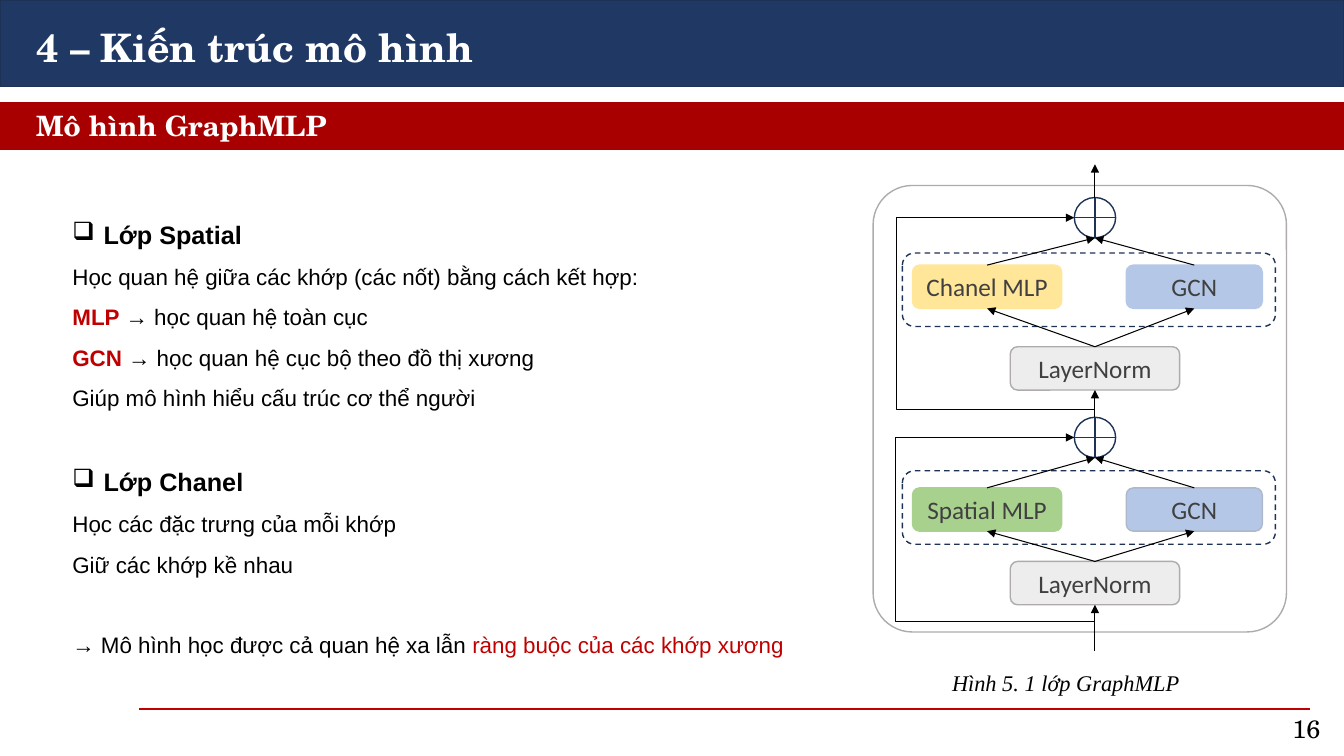
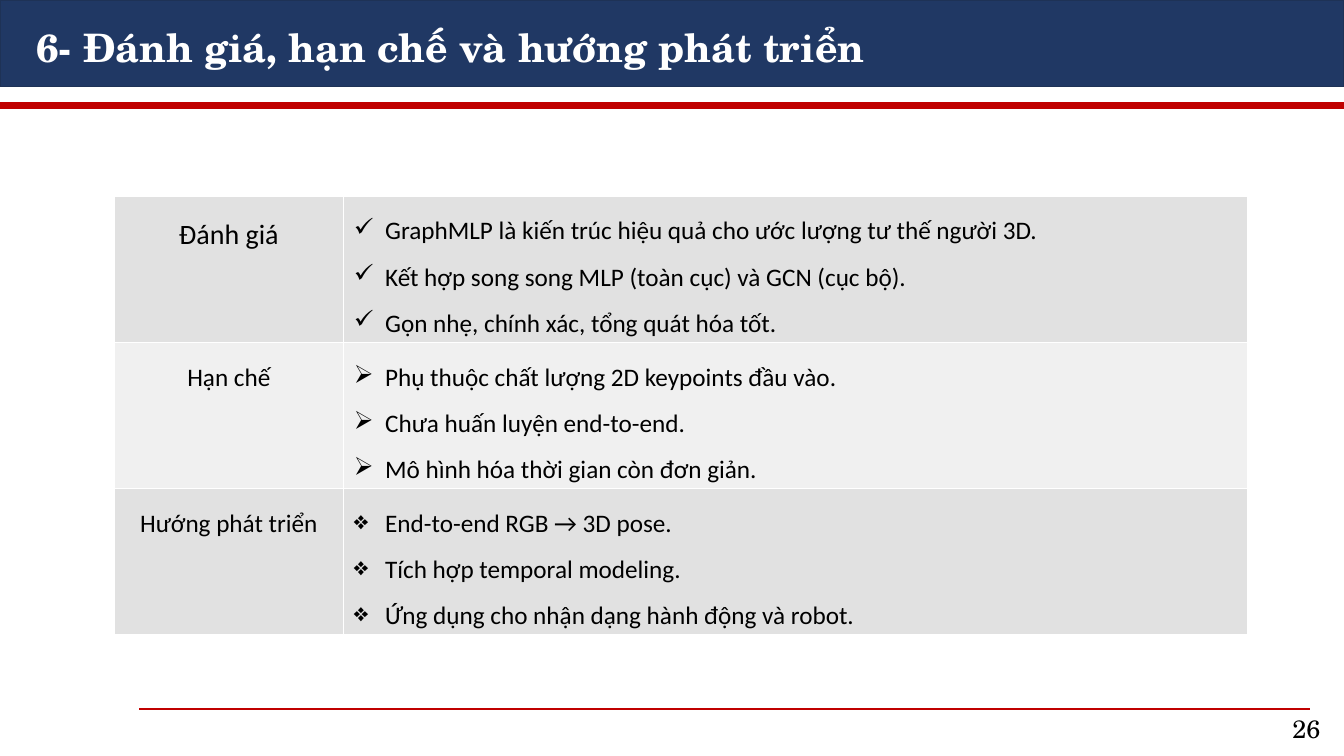
from lxml import etree
from pptx import Presentation
from pptx.dml.color import RGBColor
from pptx.enum.dml import MSO_LINE
from pptx.enum.shapes import MSO_CONNECTOR, MSO_SHAPE
from pptx.enum.text import MSO_ANCHOR, MSO_AUTO_SIZE, PP_ALIGN
from pptx.oxml.ns import qn
from pptx.util import Inches, Pt

RECTANGLE, ROUNDED, SUM = MSO_SHAPE.RECTANGLE, MSO_SHAPE.ROUNDED_RECTANGLE, MSO_SHAPE.FLOWCHART_OR
STRAIGHT, DASH = MSO_CONNECTOR.STRAIGHT, MSO_LINE.DASH
LEFT, CENTER = PP_ALIGN.LEFT, PP_ALIGN.CENTER
TOP, MIDDLE = MSO_ANCHOR.TOP, MSO_ANCHOR.MIDDLE
NO_FIT = MSO_AUTO_SIZE.NONE

COLORS = {
    "navy": "203864", "outline": "1E3256", "crimson": "A80000", "red": "C00000",
    "white": "FFFFFF", "black": "000000", "label": "404040", "border": "AFABAB",
    "norm": "EDEDED", "green": "A9D18E", "yellow": "FFE699", "blue": "B4C7E7",
    "blue_border": "ADB9CA", "row_dark": "E1E1E1", "row_light": "F0F0F0",
}
COLORS = {name: RGBColor.from_string(value) for name, value in COLORS.items()}

TITLE = {"name": "TeX Gyre Schola", "size": Pt(28), "bold": True, "color": "white"}
SUBTITLE = {**TITLE, "size": Pt(20)}
NUMBER = {"name": "TeX Gyre Schola", "size": Pt(18), "color": "black"}
BODY = {"name": "Arial", "size": Pt(16), "color": "black"}
HEADING = {**BODY, "size": Pt(18), "bold": True}
ACCENT = {**BODY, "color": "red"}
STRONG = {**ACCENT, "bold": True}
CAPTION = {"name": "Times New Roman", "size": Pt(16), "italic": True, "color": "black"}
LABEL = {"name": "Calibri", "size": Pt(18), "color": "label"}
CELL = {**LABEL, "color": "black"}
BIG_CELL = {**CELL, "size": Pt(20)}


def write(frame, paragraphs, align=LEFT, spacing=1.0, anchor=TOP):
    frame.word_wrap = True
    frame.vertical_anchor = anchor
    for index, (spans, bullet, before) in enumerate(paragraphs):
        para = frame.paragraphs[0] if index == 0 else frame.add_paragraph()
        settings = {"alignment": align, "line_spacing": spacing, "space_before": Pt(before)}
        for name, value in settings.items():
            setattr(para, name, value)
        if bullet:
            properties = para._p.get_or_add_pPr()
            properties.set("marL", str(Inches(0.31)))
            properties.set("indent", str(-Inches(0.31)))
            etree.SubElement(properties, qn("a:buChar"), char=bullet)
        for text, style in spans:
            span = para.add_run()
            span.text = text
            for name, value in style.items():
                if name == "color":
                    span.font.color.rgb = COLORS[value]
                else:
                    setattr(span.font, name, value)


def draw(page, kind, place, fill, line, label=None):
    box = page.shapes.add_shape(kind, *map(Inches, place))
    box.shadow.inherit = False
    if fill:
        box.fill.solid()
        box.fill.fore_color.rgb = COLORS[fill]
    else:
        box.fill.background()
    box.line.color.rgb = COLORS[line]
    box.line.width = Pt(1)
    if label:
        frame = box.text_frame
        frame.margin_left = frame.margin_right = 0
        write(frame, [([(label, LABEL)], None, 0)], CENTER, anchor=MIDDLE)
    return box


deck = Presentation()
deck.slide_width, deck.slide_height = Inches(13.33), Inches(7.5)

PAGES = [
    ("4 – Kiến trúc mô hình", "16", 0.46, "crimson"),
    ("6- Đánh giá, hạn chế và hướng phát triển", "26", 0.05, "red"),
]
pages = []
strokes = []
for heading, number, stripe_height, stripe_color in PAGES:
    page = deck.slides.add_slide(deck.slide_layouts[5])
    pages.append(page)
    title = page.shapes.title
    band = draw(page, RECTANGLE, (0, 0, 13.33, 0.86), "navy", "outline")
    title.element.addprevious(band.element)
    draw(page, RECTANGLE, (0, 1.02, 13.33, stripe_height), stripe_color, stripe_color)
    place = {"left": 0.26, "top": 0.18, "width": 10.72, "height": 0.57}
    for name, value in place.items():
        setattr(title, name, Inches(value))
    title.text_frame.auto_size = NO_FIT
    write(title.text_frame, [([(heading, TITLE)], None, 0)])
    rule = page.shapes.add_connector(STRAIGHT, Inches(1.38), Inches(7.03), Inches(12.99), Inches(7.03))
    strokes.append((rule, "red", 1.5, False))
    box = page.shapes.add_textbox(Inches(12.72), Inches(7.03), Inches(0.56), Inches(0.4))
    write(box.text_frame, [([(number, NUMBER)], None, 0)])

model_page, review_page = pages

LAYERS = [
    ([("Lớp Spatial", HEADING)], "❑", 0),
    ([("Học quan hệ giữa các khớp (các nốt) bằng cách kết hợp:", BODY)], None, 0),
    ([("MLP", STRONG), (" → học quan hệ toàn cục", BODY)], None, 0),
    ([("GCN", STRONG), (" → học quan hệ cục bộ theo đồ thị xương", BODY)], None, 0),
    ([("Giúp mô hình hiểu cấu trúc cơ thể người", BODY)], None, 0),
    ([("Lớp Chanel", HEADING)], "❑", 29),
    ([("Học các đặc trưng của mỗi khớp", BODY)], None, 0),
    ([("Giữ các khớp kề nhau", BODY)], None, 0),
    ([("→ Mô hình học được cả quan hệ xa lẫn ", BODY),
      ("ràng buộc của các khớp xương", ACCENT)], None, 29),
]
TEXTS = [
    ((0.26, 1.03, 10.72, 0.44), [([("Mô hình GraphMLP", SUBTITLE)], None, 0)], LEFT, 1.0),
    ((0.62, 1.98, 7.34, 4.6), LAYERS, LEFT, 1.5),
    ((7.83, 6.46, 5.48, 0.46), [([("Hình 5. 1 lớp GraphMLP", CAPTION)], None, 0)], CENTER, 1.5),
]
for place, paragraphs, align, spacing in TEXTS:
    box = model_page.shapes.add_textbox(*map(Inches, place))
    write(box.text_frame, paragraphs, align, spacing)

container = draw(model_page, ROUNDED, (8.66, 1.84, 4.1, 4.43), "white", "border")
container.adjustments[0] = 0.095

AXIS = 10.86
NODE_HEIGHT = 0.43
SUM_WIDTH, SUM_HEIGHT = 0.41, 0.4
STAGES = [
    {"mlp": "Spatial MLP", "fill": "green", "gcn_line": "blue_border", "norm": 5.57,
     "branch": 4.84, "frame": 4.67, "sum": 4.14, "input": 6.46, "skip": (8.88, 6.17)},
    {"mlp": "Chanel MLP", "fill": "yellow", "gcn_line": "blue", "norm": 3.44,
     "branch": 2.63, "frame": 2.51, "sum": 1.96, "input": 4.14, "skip": (8.89, 4.06)},
]
arrows = [((AXIS, 1.96), (AXIS, 1.63), None, None)]
for stage in STAGES:
    frame = draw(model_page, ROUNDED, (8.95, stage["frame"], 3.7, 0.73), None, "outline")
    frame.line.dash_style = DASH
    norm = draw(model_page, ROUNDED, (10.02, stage["norm"], 1.68, NODE_HEIGHT),
                "norm", "border", "LayerNorm")
    mlp = draw(model_page, ROUNDED, (9.05, stage["branch"], 1.48, NODE_HEIGHT),
               stage["fill"], stage["fill"], stage["mlp"])
    gcn = draw(model_page, ROUNDED, (11.17, stage["branch"], 1.35, NODE_HEIGHT),
               "blue", stage["gcn_line"], "GCN")
    sum_left = AXIS - SUM_WIDTH / 2
    draw(model_page, SUM, (sum_left, stage["sum"], SUM_WIDTH, SUM_HEIGHT), None, "outline")

    norm_top, sum_bottom = (AXIS, stage["norm"]), (AXIS, stage["sum"] + SUM_HEIGHT)
    arrows.append(((AXIS, stage["input"]), (AXIS, stage["norm"] + NODE_HEIGHT), None, (norm, 2)))
    for branch in (mlp, gcn):
        arrows.append((norm_top, norm_top, (norm, 0), (branch, 2)))
        arrows.append((sum_bottom, sum_bottom, (branch, 0), None))

    skip_left, skip_bottom = stage["skip"]
    sum_middle = stage["sum"] + SUM_HEIGHT / 2
    route = [(skip_left, skip_bottom), (skip_left, sum_middle), (sum_left, sum_middle)]
    builder = model_page.shapes.build_freeform(Inches(AXIS), Inches(skip_bottom))
    builder.add_line_segments([(Inches(x), Inches(y)) for x, y in route], close=False)
    skip = builder.convert_to_shape()
    skip.fill.background()
    strokes.append((skip, "black", 0.75, True))

for start, end, source, target in arrows:
    arrow = model_page.shapes.add_connector(STRAIGHT, *map(Inches, start + end))
    if source:
        arrow.begin_connect(*source)
    if target:
        arrow.end_connect(*target)
    strokes.append((arrow, "black", 0.75, True))

for stroke, color, width, has_head in strokes:
    stroke.line.color.rgb = COLORS[color]
    stroke.line.width = Pt(width)
    properties = stroke.element.spPr
    if has_head:
        etree.SubElement(properties.find(qn("a:ln")), qn("a:tailEnd"), type="triangle")
    etree.SubElement(properties, qn("a:effectLst"))

REVIEW = [
    ("Đánh giá", BIG_CELL, "row_dark", "✓", [
        "GraphMLP là kiến trúc hiệu quả cho ước lượng tư thế người 3D.",
        "Kết hợp song song MLP (toàn cục) và GCN (cục bộ).",
        "Gọn nhẹ, chính xác, tổng quát hóa tốt.",
    ]),
    ("Hạn chế", CELL, "row_light", "➢", [
        "Phụ thuộc chất lượng 2D keypoints đầu vào.",
        "Chưa huấn luyện end-to-end.",
        "Mô hình hóa thời gian còn đơn giản.",
    ]),
    ("Hướng phát triển", CELL, "row_dark", "❖", [
        "End-to-end RGB → 3D pose.",
        "Tích hợp temporal modeling.",
        "Ứng dụng cho nhận dạng hành động và robot.",
    ]),
]
table = review_page.shapes.add_table(
    len(REVIEW), 2, Inches(1.13), Inches(1.95), Inches(11.24), Inches(4.35)).table
table.first_row = table.horz_banding = False
for column, width in zip(table.columns, (2.28, 8.96)):
    column.width = Inches(width)
for row, (topic, style, fill, bullet, points) in zip(table.rows, REVIEW):
    row.height = Inches(1.45)
    contents = [
        ([([(topic, style)], None, 0)], CENTER),
        ([([(point, CELL)], bullet, 0) for point in points], LEFT),
    ]
    for cell, (paragraphs, align) in zip(row.cells, contents):
        cell.fill.solid()
        cell.fill.fore_color.rgb = COLORS[fill]
        cell.margin_top, cell.margin_bottom = Inches(0.04), Inches(0.03)
        write(cell.text_frame, paragraphs, align, 1.5)

deck.save("out.pptx")
